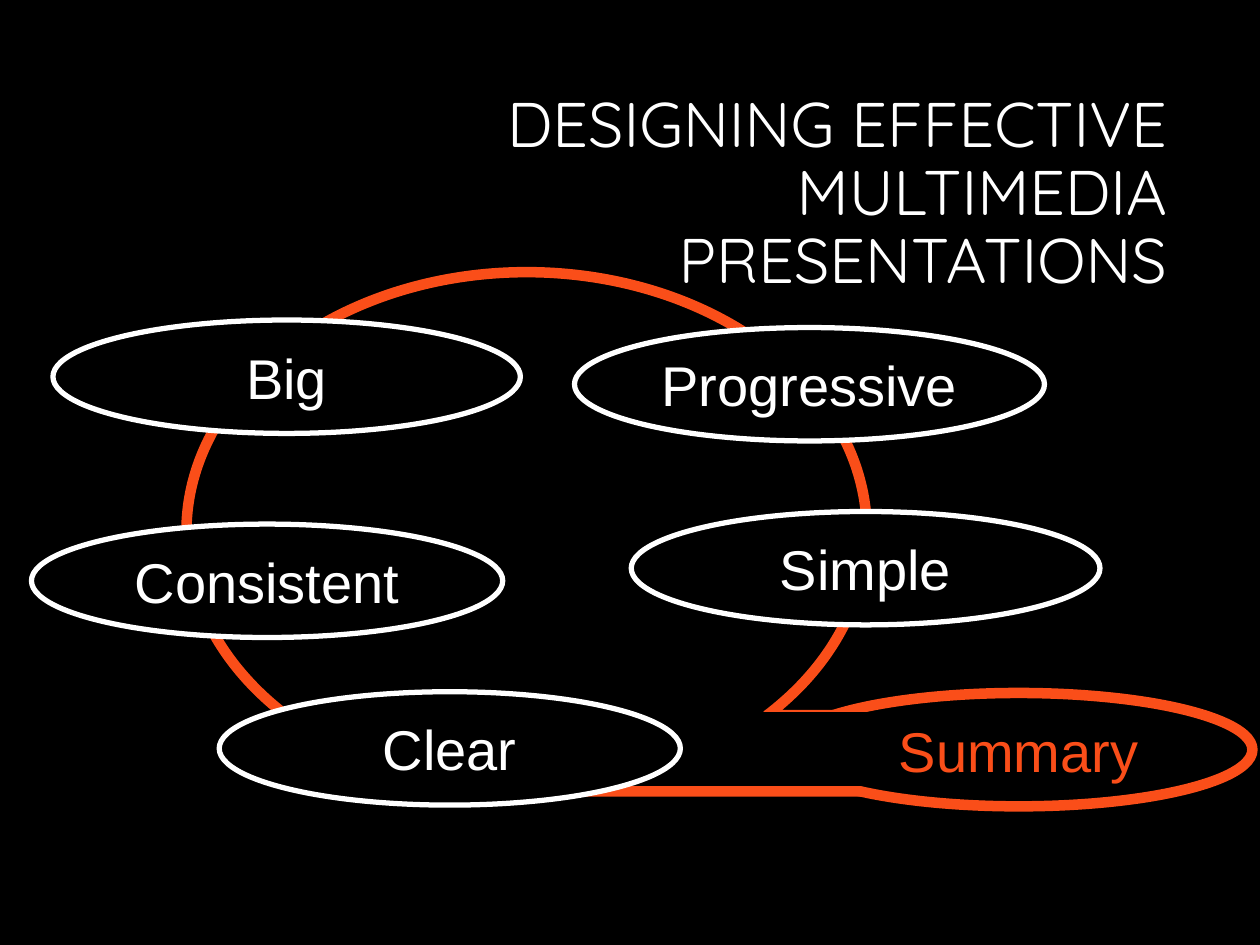
from pptx import Presentation
from pptx.dml.color import RGBColor
from pptx.enum.shapes import MSO_SHAPE
from pptx.enum.text import MSO_ANCHOR, PP_ALIGN
from pptx.util import Inches, Pt

BLACK, WHITE, ORANGE = "000000", "FFFFFF", "FA4E19"

# Grid: 100 columns by 75 rows
COLUMN = Inches(10) / 100
ROW = Inches(7.5) / 75
OVAL_ROWS = 9


def color(hex_code):
    return RGBColor.from_string(hex_code)


def place(box):
    left, top, width, height = box
    return [round(n) for n in (left * COLUMN, top * ROW, width * COLUMN, height * ROW)]


def write(frame, text, size=32, font="Arial", ink=WHITE, align=PP_ALIGN.CENTER, spacing=None):
    frame.word_wrap = True
    frame.vertical_anchor = MSO_ANCHOR.MIDDLE
    para = frame.paragraphs[0]
    para.alignment = align
    para.line_spacing = spacing
    span = para.add_run()
    span.text = text
    span.font.size = Pt(size)
    span.font.name = font
    span.font.color.rgb = color(ink)


def add_outline(page, kind, box, line, weight, fill=None):
    shape = page.shapes.add_shape(kind, *place(box))
    shape.shadow.inherit = False
    if fill:
        shape.fill.solid()
        shape.fill.fore_color.rgb = color(fill)
    else:
        shape.fill.background()
    shape.line.color.rgb = color(line)
    shape.line.width = Pt(weight)
    return shape


def add_title(page, box, text):
    title = page.shapes.add_textbox(*place(box))
    write(title.text_frame, text, size=36, font="Quicksand",
          align=PP_ALIGN.RIGHT, spacing=0.9)


def add_oval(page, box, text, ink=WHITE, weight=3):
    oval = add_outline(page, MSO_SHAPE.OVAL, box, ink, weight, fill=BLACK)
    write(oval.text_frame, text, ink=ink)


def main():
    deck = Presentation()
    deck.slide_width, deck.slide_height = Inches(10), Inches(7.5)
    page = deck.slides.add_slide(deck.slide_layouts[6])
    page.background.fill.solid()
    page.background.fill.fore_color.rgb = color(BLACK)

    # Loop behind the ovals
    add_outline(page, MSO_SHAPE.FLOWCHART_SEQUENTIAL_ACCESS_STORAGE,
                (14.8, 21.6, 54, 41.2), ORANGE, 6)

    add_title(page, (23.8, 8.4, 69.8, 14.1),
              "DESIGNING EFFECTIVE MULTIMEDIA PRESENTATIONS")

    # Principles around the loop: text, left, top, width
    principles = [
        ("Simple", 50.1, 40.6, 37.2),
        ("Consistent", 2.5, 41.6, 37.4),
        ("Clear", 17.4, 54.9, 36.6),
        ("Big", 4.2, 25.4, 37.1),
        ("Progressive", 45.6, 26, 37.3),
    ]
    for text, left, top, width in principles:
        add_oval(page, (left, top, width, OVAL_ROWS), text)

    # Summary at the end of the loop, with a patch that opens the joint
    add_oval(page, (62.3, 55, 37.1, OVAL_ROWS), "Summary", ink=ORANGE, weight=6)
    add_outline(page, MSO_SHAPE.RECTANGLE, (59.5, 56.6, 10.1, 5.7), BLACK, 1, fill=BLACK)

    deck.save("out.pptx")


if __name__ == "__main__":
    main()
